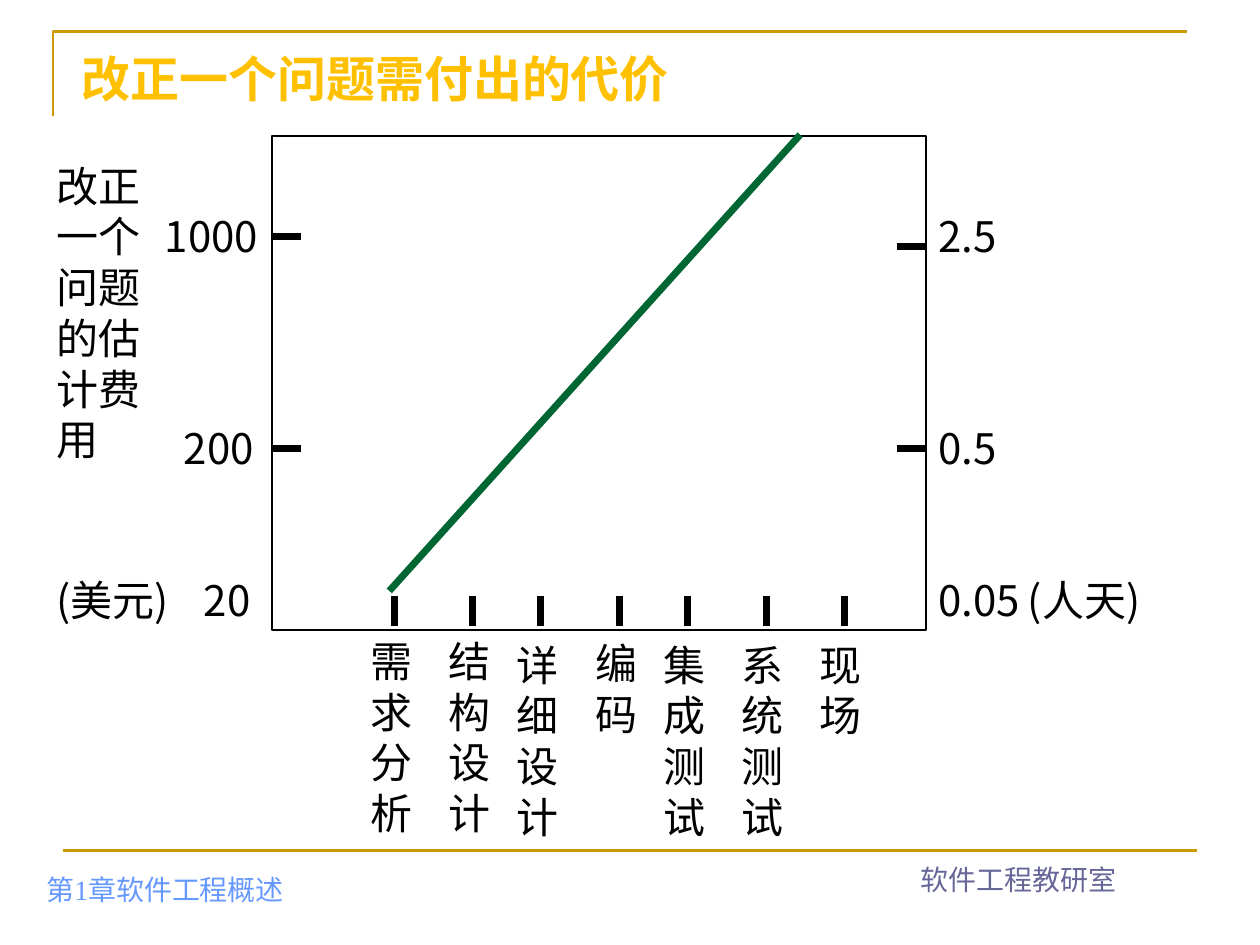
from lxml import etree
from pptx import Presentation
from pptx.dml.color import RGBColor
from pptx.enum import shapes, text
from pptx.oxml.ns import qn
from pptx.util import Inches, Pt

GOLD = RGBColor(0xCC, 0x99, 0x00)
AMBER = RGBColor(0xFF, 0xC0, 0x00)
BLUE = RGBColor(0x66, 0x99, 0xFF)
VIOLET = RGBColor(0x66, 0x66, 0x99)
GREEN = RGBColor(0x00, 0x66, 0x33)
BLACK = RGBColor(0, 0, 0)

SANS = "Noto Sans CJK SC"
SERIF = "Times New Roman"

# Plot frame: left, top, right, bottom
LEFT, TOP, RIGHT, BOTTOM = 2.16, 1.08, 7.35, 5.0
TICK = 0.23

# Phase name, tick x, label top
PHASES = [
    ("需\n求\n分\n析", 3.13, 4.99),
    ("结构设计", 3.75, 4.99),
    ("详细设计", 4.29, 5.02),
    ("编码", 4.92, 5.01),
    ("集成测试", 5.46, 5.02),
    ("系统测试", 6.08, 5.02),
    ("现场", 6.7, 5.02),
]

# Label, left, top, width
SCALE_LABELS = [
    ("20", 1.52, 4.51, 0.95),
    ("200", 1.36, 3.3, 0.95),
    ("1000", 1.21, 1.62, 1.1),
    ("2.5", RIGHT, 1.62, 0.95),
    ("0.05", RIGHT, 4.51, 1.1),
    ("0.5", RIGHT, 3.3, 1.03),
    ("(美元)", 0.35, 4.51, 1.49),
    ("(人天)", 8.06, 4.51, 1.48),
]


def add_text(slide, words, left, top, width, height, size=24, font=SANS,
             color=BLACK, bold=False, anchor=text.MSO_ANCHOR.TOP,
             align=text.PP_ALIGN.LEFT, spacing=None):
    box = slide.shapes.add_textbox(
        Inches(left), Inches(top), Inches(width), Inches(height))
    frame = box.text_frame
    frame.word_wrap = True
    frame.vertical_anchor = anchor
    frame.text = words
    for paragraph in frame.paragraphs:
        paragraph.alignment = align
        paragraph.line_spacing = spacing
        for run in paragraph.runs:
            run.font.name = font
            run.font.size = Pt(size)
            run.font.bold = bold
            run.font.color.rgb = color
            east_asian = etree.Element(qn("a:ea"), typeface=SANS)
            run.font._element.find(qn("a:latin")).addnext(east_asian)


def add_label(slide, words, left, top, width, lines=1):
    add_text(slide, words, left, top, width, 0.1 + 0.4 * lines,
             spacing=Pt(29))


def add_line(slide, x1, y1, x2, y2, color=BLACK, weight=4):
    line = slide.shapes.add_connector(
        shapes.MSO_CONNECTOR.STRAIGHT,
        Inches(x1), Inches(y1), Inches(x2), Inches(y2))
    line.line.color.rgb = color
    line.line.width = Pt(weight)
    etree.SubElement(line._element.spPr, qn("a:effectLst"))


def add_corner_rule(slide):
    builder = slide.shapes.build_freeform(Inches(0.42), Inches(0.92))
    builder.add_line_segments(
        [(Inches(0.42), Inches(0.25)), (Inches(9.42), Inches(0.25))],
        close=False)
    rule = builder.convert_to_shape()
    rule.shadow.inherit = False
    rule.fill.background()
    rule.line.color.rgb = GOLD
    rule.line.width = Pt(1.5)


def add_plot_frame(slide):
    frame = slide.shapes.add_shape(
        shapes.MSO_SHAPE.RECTANGLE, Inches(LEFT), Inches(TOP),
        Inches(RIGHT - LEFT), Inches(BOTTOM - TOP))
    frame.shadow.inherit = False
    frame.fill.background()
    frame.line.color.rgb = BLACK
    frame.line.width = Pt(1)


def main():
    presentation = Presentation()
    presentation.slide_width = Inches(10)
    presentation.slide_height = Inches(7.5)
    slide = presentation.slides.add_slide(presentation.slide_layouts[6])

    # Rules, footers and title
    add_corner_rule(slide)
    add_line(slide, 0.5, 6.75, 9.5, 6.75, GOLD, 1.5)
    add_text(slide, "第1章软件工程概述", 0.27, 6.74, 3.15, 0.5, 16, SERIF,
             BLUE, anchor=text.MSO_ANCHOR.BOTTOM)
    add_text(slide, "软件工程教研室", 6.5, 6.66, 3.17, 0.5, 16, SERIF,
             VIOLET, anchor=text.MSO_ANCHOR.BOTTOM,
             align=text.PP_ALIGN.CENTER)
    add_text(slide, "改正一个问题需付出的代价", 0.55, 0.34, 6.8, 0.56, 28,
             SERIF, AMBER, bold=True, anchor=text.MSO_ANCHOR.MIDDLE)

    # Plot frame and phase axis
    add_plot_frame(slide)
    for name, x, top in PHASES:
        add_label(slide, name, x - 0.29, top, 0.64,
                  len(name.replace("\n", "")))
        add_line(slide, x, 4.73, x, 4.97)

    # Cost scales: dollars on the left, person-days on the right
    add_label(slide, "改正一个问题的估计费用", 0.35, 1.22, 1.03, 6)
    for label in SCALE_LABELS:
        add_label(slide, *label)
    for y in (1.88, 3.56):
        add_line(slide, LEFT, y, LEFT + TICK, y)
    for y in (1.96, 3.56):
        add_line(slide, RIGHT - TICK, y, RIGHT, y)

    # Cost curve
    add_line(slide, 3.09, 4.69, 6.35, 1.07, GREEN)

    presentation.save("out.pptx")


if __name__ == "__main__":
    main()
